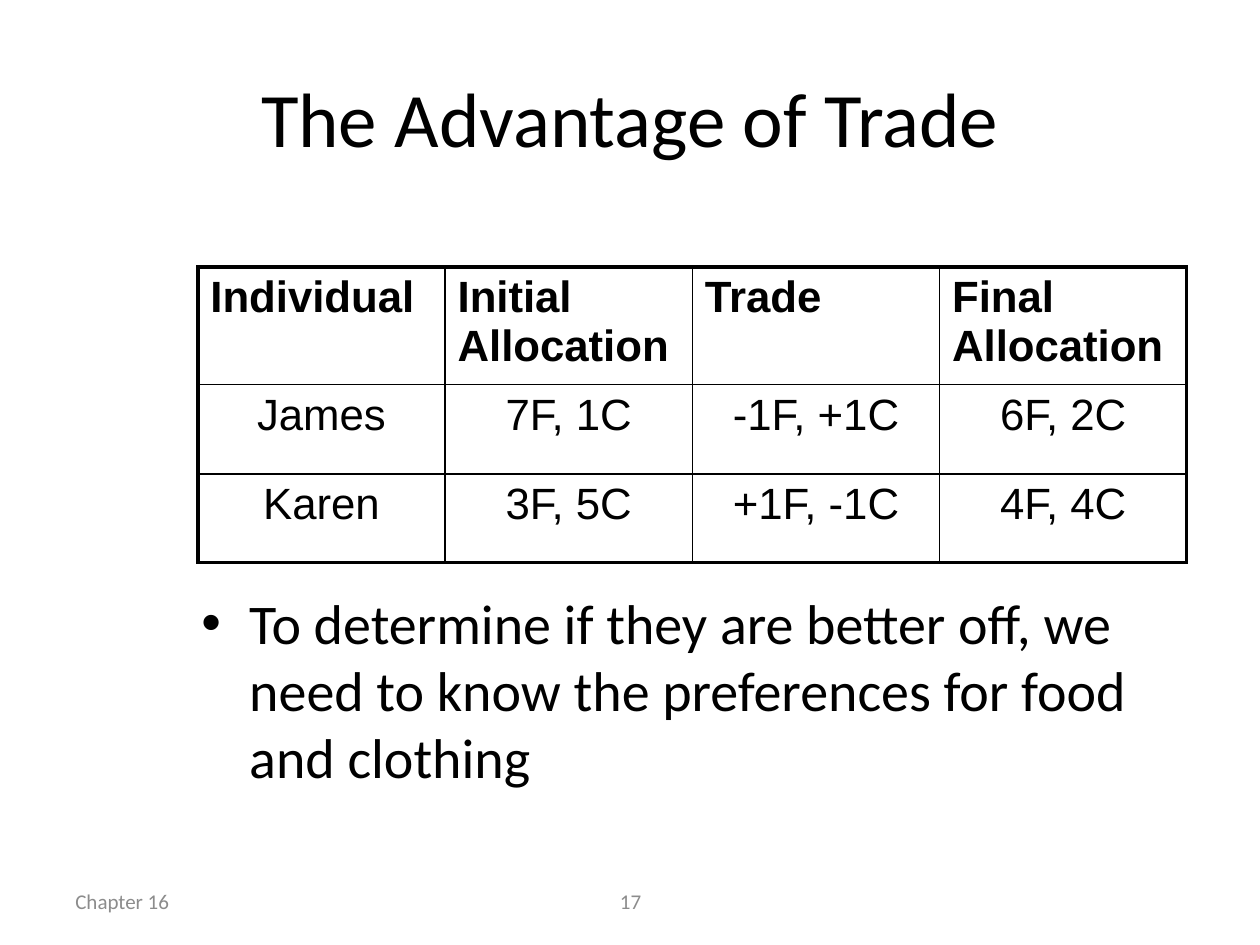
from lxml import etree
from pptx import Presentation
from pptx.dml.color import RGBColor
from pptx.enum.text import MSO_ANCHOR, PP_ALIGN
from pptx.oxml.ns import qn
from pptx.util import Inches, Pt

LEFT, CENTER = PP_ALIGN.LEFT, PP_ALIGN.CENTER
TOP, MIDDLE = MSO_ANCHOR.TOP, MSO_ANCHOR.MIDDLE

# Content
TITLE = "The Advantage of Trade"
ROWS = [
    ["Individual", "Initial Allocation", "Trade", "Final Allocation"],
    ["James", "7F, 1C", "-1F, +1C", "6F, 2C"],
    ["Karen", "3F, 5C", "+1F, -1C", "4F, 4C"],
]
BULLET = ("To determine if they are better off, we need to know "
          "the preferences for food and clothing")
CHAPTER, PAGE = "Chapter 16", "17"

# Style and layout, in inches and points
COLORS = {"text": "000000", "footer": "8C8C8C", "line": "000000"}
SLIDE_W, SLIDE_H = 10, 7.5
MARGIN = 0.5
FOOTER_Y, FOOTER_H = 6.95, 0.4
TABLE_X, TABLE_Y, TABLE_W = 1.57, 2.12, 7.85
ROW_HEIGHTS = [0.93, 0.71, 0.7]
INDENT = 0.38
OUTER, INNER = 2.25, 1


def add_run(p, text, size, font, color, bold=False):
    r = p.add_run()
    r.text = text
    r.font.size, r.font.name, r.font.bold = Pt(size), font, bold
    r.font.color.rgb = RGBColor.from_string(COLORS[color])


def add_text(s, text, box, size, color="text", align=LEFT, anchor=MIDDLE):
    tf = s.shapes.add_textbox(*map(Inches, box)).text_frame
    tf.word_wrap, tf.vertical_anchor = True, anchor
    p = tf.paragraphs[0]
    p.alignment = align
    add_run(p, text, size, "Calibri", color)
    return p


def add_bullet(p):
    pPr = p._p.get_or_add_pPr()
    pPr.set("marL", str(Inches(INDENT)))
    pPr.set("indent", str(-Inches(INDENT)))
    etree.SubElement(pPr, qn("a:buFont"), typeface="Arial")
    etree.SubElement(pPr, qn("a:buChar"), char="•")


def set_borders(cell, widths):
    tcPr = cell._tc.get_or_add_tcPr()
    for i, (side, width) in enumerate(widths.items()):
        ln = etree.Element(qn("a:ln" + side), w=str(Pt(width)))
        fill = etree.SubElement(ln, qn("a:solidFill"))
        etree.SubElement(fill, qn("a:srgbClr"), val=COLORS["line"])
        tcPr.insert(i, ln)


def add_trade_table(s):
    n_rows, n_cols = len(ROWS), len(ROWS[0])
    table = s.shapes.add_table(
        n_rows, n_cols, Inches(TABLE_X), Inches(TABLE_Y),
        Inches(TABLE_W), Inches(sum(ROW_HEIGHTS))).table
    for col in table.columns:
        col.width = Inches(TABLE_W / n_cols)
    for i, values in enumerate(ROWS):
        table.rows[i].height = Inches(ROW_HEIGHTS[i])
        for j, value in enumerate(values):
            cell = table.cell(i, j)
            cell.fill.background()
            p = cell.text_frame.paragraphs[0]
            p.alignment = CENTER if i else LEFT
            add_run(p, value, 25, "Arial", "text", bold=i == 0)
            # Thick lines only around the outside of the grid
            edges = {"L": j == 0, "R": j == n_cols - 1,
                     "T": i == 0, "B": i == n_rows - 1}
            set_borders(cell, {side: OUTER if outside else INNER
                               for side, outside in edges.items()})


def main():
    prs = Presentation()
    prs.slide_width, prs.slide_height = Inches(SLIDE_W), Inches(SLIDE_H)
    s = prs.slides.add_slide(prs.slide_layouts[6])

    # Footer
    add_text(s, CHAPTER, (MARGIN, FOOTER_Y, 2.33, FOOTER_H), 12, "footer")
    add_text(s, PAGE, (3.42, FOOTER_Y, 3.17, FOOTER_H), 12, "footer", CENTER)

    # Title, table and conclusion
    add_text(s, TITLE, (MARGIN, 0.3, SLIDE_W - 2 * MARGIN, 1.25), 44,
             align=CENTER)
    add_trade_table(s)
    add_bullet(add_text(s, BULLET, (1.5, 4.62, 8, 1.88), 32, anchor=TOP))

    prs.save("out.pptx")


if __name__ == "__main__":
    main()
